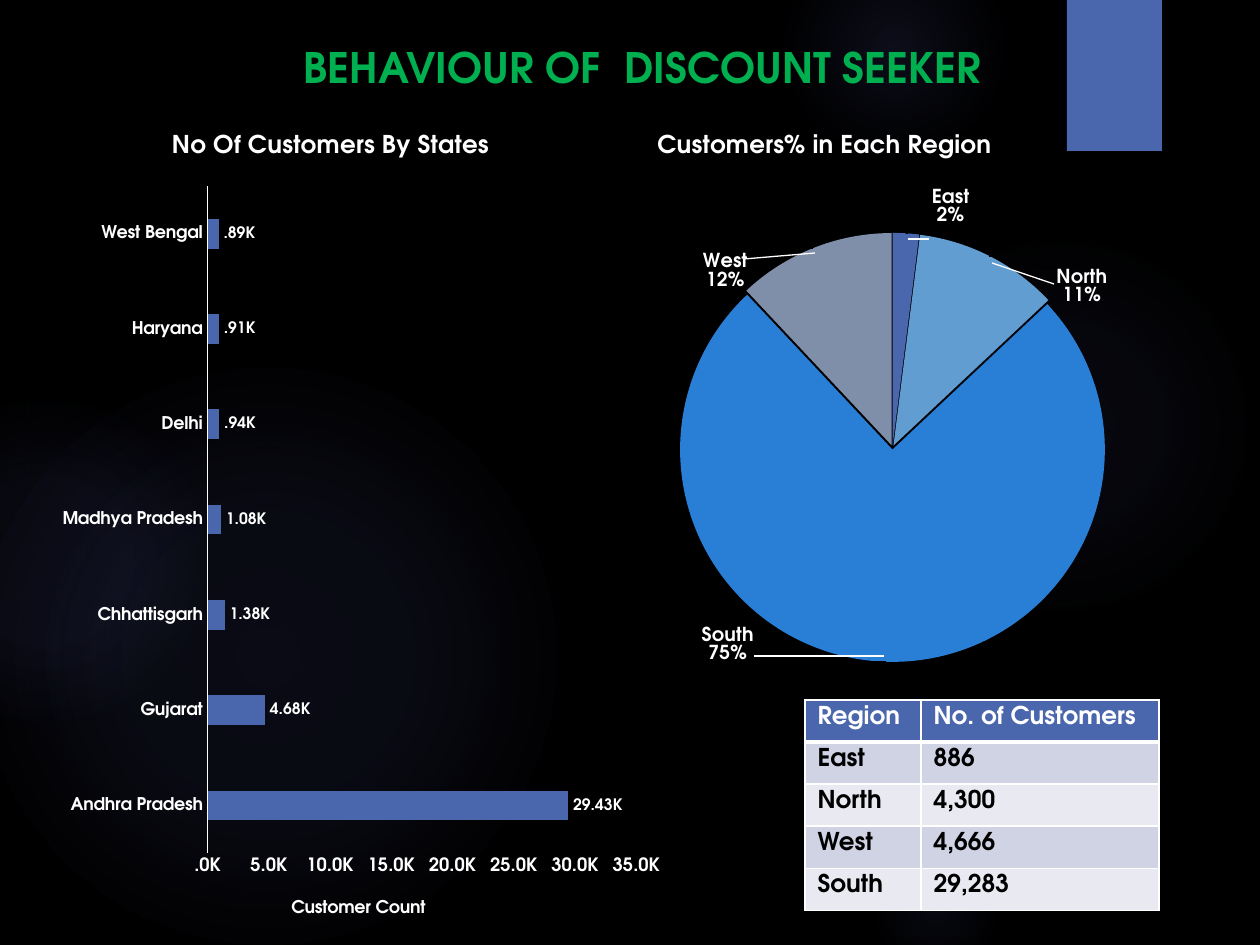
"""Build the discount seeker slide: two charts and a table on a dark background."""
from typing import NamedTuple

from lxml import etree
from pptx import Presentation
from pptx.chart.data import CategoryChartData
from pptx.dml.color import RGBColor
from pptx.enum.chart import XL_CHART_TYPE, XL_LABEL_POSITION, XL_TICK_MARK
from pptx.enum.shapes import MSO_CONNECTOR, MSO_SHAPE
from pptx.oxml import parse_xml
from pptx.oxml.ns import nsdecls, qn
from pptx.util import Emu, Pt

PIE, BAR = XL_CHART_TYPE.PIE, XL_CHART_TYPE.BAR_CLUSTERED
BEST_FIT, OUTSIDE_END = XL_LABEL_POSITION.BEST_FIT, XL_LABEL_POSITION.OUTSIDE_END
NO_TICK = XL_TICK_MARK.NONE
OVAL, RECTANGLE, STRAIGHT = MSO_SHAPE.OVAL, MSO_SHAPE.RECTANGLE, MSO_CONNECTOR.STRAIGHT

FONT = "TeX Gyre Adventor"
COLORS = {
    "black": "000000", "white": "FFFFFF", "glow": "5C64B7", "accent": "4A66AC",
    "title": "00B050", "band_dark": "D0D3E3", "band_light": "E9EAF1",
    "East": "4A66AC", "North": "629DD1", "South": "297FD5", "West": "7F8FA9",
}

class Glow(NamedTuple):
    """A soft circle in px, with stops as (percent, alpha percent)."""
    left: int
    top: int
    size: int
    stops: tuple

class Slice(NamedTuple):
    """A pie slice, the shift of its label and its leader line in px."""
    region: str
    percent: int
    shift: tuple
    leader: tuple

GLOWS = [
    Glow(868, 231, 388, ((0, 7), (36, 6), (69, 0))),
    Glow(784, -63, 220, ((0, 14), (36, 7), (73, 0))),
    Glow(868, 840, 136, ((0, 9), (36, 5), (66, 0))),
    Glow(-21, 368, 577, ((0, 11), (36, 10), (75, 0))),
    Glow(-116, 399, 325, ((0, 8), (36, 8), (72, 0))),
]
SLICES = [
    Slice("East", 2, (0.07, 0), (929, 239, 908, 239)),
    Slice("North", 11, (0.1, 0.08), (1054, 284, 992, 263)),
    Slice("South", 75, (-0.25, -0.06), (754, 656, 884, 656)),
    Slice("West", 12, (-0.1, 0.07), (744, 259, 815, 253)),
]
STATES = {
    "Andhra Pradesh": 29430, "Gujarat": 4680, "Chhattisgarh": 1380,
    "Madhya Pradesh": 1080, "Delhi": 940, "Haryana": 910, "West Bengal": 890,
}
TABLE_ROWS = [("Region", "No. of Customers"), ("East", "886"), ("North", "4,300"),
              ("West", "4,666"), ("South", "29,283")]

def px(*lengths: int) -> list:
    """Turn px into EMU."""
    return [Emu(round(length * 914400 / 126)) for length in lengths]

def rgb(name: str) -> RGBColor:
    """Look a colour up by name."""
    return RGBColor.from_string(COLORS[name])

def paint(fill, color: str) -> None:
    """Make a fill solid in a named colour."""
    fill.solid()
    fill.fore_color.rgb = rgb(color)

def style_font(font, size: float, color: str = "white", bold: bool = True) -> None:
    """Set face, size, colour and weight."""
    font.name, font.size, font.bold = FONT, Pt(size), bold
    font.color.rgb = rgb(color)

def add_shape(slide, kind, *box: int):
    """Add an accent-filled shape without line or shadow."""
    shape = slide.shapes.add_shape(kind, *px(*box))
    shape.shadow.inherit = False
    paint(shape.fill, "accent")
    shape.line.fill.background()
    return shape

def add_glow(slide, glow: Glow) -> None:
    """Add a circle that fades out from its centre."""
    shape = add_shape(slide, OVAL, glow.left, glow.top, glow.size, glow.size)
    stops = "".join(
        f'<a:gs pos="{position * 1000}"><a:srgbClr val="{COLORS["glow"]}">'
        f'<a:alpha val="{alpha * 1000}"/></a:srgbClr></a:gs>' for position, alpha in glow.stops)
    solid = shape.element.spPr.find(qn("a:solidFill"))
    solid.getparent().replace(solid, parse_xml(
        f'<a:gradFill {nsdecls("a")}><a:gsLst>{stops}</a:gsLst><a:path path="circle">'
        '<a:fillToRect l="50000" t="50000" r="50000" b="50000"/></a:path></a:gradFill>'))

def add_leader(slide, ends: tuple) -> None:
    """Add a thin white line from a label to its slice."""
    line = slide.shapes.add_connector(STRAIGHT, *px(*ends))
    line.line.color.rgb, line.line.width = rgb("white"), Pt(0.75)
    etree.SubElement(line.element.spPr, qn("a:effectLst"))

def set_layout(parent, index: int, modes: tuple = (), **values: float) -> None:
    """Give a chart part a manual layout in fractions of the chart."""
    for old in parent.findall(qn("c:layout")):
        parent.remove(old)
    layout = etree.Element(qn("c:layout"))
    manual = etree.SubElement(layout, qn("c:manualLayout"))
    for name, value in (*modes, *values.items()):
        etree.SubElement(manual, qn(f"c:{name}"), val=str(value))
    parent.insert(index, layout)

def set_title(title, text: str, size: float, x: float, y: float) -> None:
    """Write and place a chart or axis title."""
    title.text_frame.text = text
    style_font(title.text_frame.paragraphs[0].runs[0].font, size)
    set_layout(title._element, 1, (("xMode", "edge"), ("yMode", "edge")), x=x, y=y)

def add_chart(slide, kind, box: tuple, values: dict, **plot_area: float):
    """Add a transparent chart with one series and a fixed plot area."""
    data = CategoryChartData()
    data.categories = list(values)
    data.add_series("Series 1", list(values.values()))
    chart = slide.shapes.add_chart(kind, *px(*box), data).chart
    chart.has_legend = False
    style_font(chart.font, 10, bold=False)
    area = chart._chartSpace.xpath("c:chart/c:plotArea")[0]
    modes = (("layoutTarget", "inner"), ("xMode", "edge"), ("yMode", "edge"))
    set_layout(area, 0, modes, **plot_area)
    clear = f'<c:spPr {nsdecls("c", "a")}><a:noFill/><a:ln><a:noFill/></a:ln></c:spPr>'
    area.append(parse_xml(clear))
    chart._chartSpace.find(qn("c:txPr")).addprevious(parse_xml(clear))
    return chart

def add_region_chart(slide) -> None:
    """Add the pie of regions with shifted labels and leader lines."""
    chart = add_chart(slide, PIE, (514, 107, 631, 702),
                      {part.region: part.percent for part in SLICES}, x=0.26, y=0.13, w=0.68, h=0.71)
    set_title(chart.chart_title, "Customers% in Each Region", 14, 0.22, 0.03)
    series = chart.plots[0].series[0]
    for index, part in enumerate(SLICES):
        point = series.points[index]
        paint(point.format.fill, part.region)
        style_font(point.data_label.font, 11)
        point.data_label.position = BEST_FIT
        label = series._element.xpath("c:dLbls/c:dLbl")[index]
        set_layout(label, 1, x=part.shift[0], y=part.shift[1])
        for name, shown in (("showVal", "0"), ("showCatName", "1"), ("showPercent", "1")):
            label.find(qn(f"c:{name}")).set("val", shown)
        etree.SubElement(label, qn("c:separator")).text = "\n"
        add_leader(slide, part.leader)
    series._element.find(qn("c:dPt")).addprevious(etree.Element(qn("c:explosion"), val="1"))

def add_state_chart(slide) -> None:
    """Add the bars of customers by state."""
    chart = add_chart(slide, BAR, (0, 111, 670, 834), STATES, x=0.31, y=0.09, w=0.64, h=0.8)
    set_title(chart.chart_title, "No Of Customers By States", 14, 0.25, 0.02)
    plot = chart.plots[0]
    plot.gap_width, plot.vary_by_categories = 219, False
    paint(plot.series[0].format.fill, "accent")
    labels = plot.series[0].data_labels
    labels.show_value, labels.position = True, OUTSIDE_END
    labels.number_format, labels.number_format_is_linked = '#.00,"K";\\-#.00,"K"', False
    style_font(labels.font, 9)
    categories, counts = chart.category_axis, chart.value_axis
    for axis, size in ((categories, 10), (counts, 10.5)):
        axis.major_tick_mark = axis.minor_tick_mark = NO_TICK
        axis.has_major_gridlines = False
        style_font(axis.tick_labels.font, size)
    categories.format.line.color.rgb, categories.format.line.width = rgb("white"), Pt(0.75)
    counts.format.line.fill.background()
    counts.minimum_scale, counts.maximum_scale, counts.major_unit = 0, 35000, 5000
    ticks = counts.tick_labels
    ticks.number_format, ticks.number_format_is_linked = '#.0,"K";\\-#.0,"K"', False
    set_title(counts.axis_title, "Customer Count", 10, 0.43, 0.94)

def add_borders(cell, bottom: int) -> None:
    """Draw white cell borders, the bottom one in its own width in points."""
    for index, (side, width) in enumerate(zip("LRTB", (1, 1, 1, bottom))):
        cell._tc.get_or_add_tcPr().insert(index, parse_xml(
            f'<a:ln{side} {nsdecls("a")} w="{Pt(width)}"><a:solidFill>'
            f'<a:srgbClr val="{COLORS["white"]}"/></a:solidFill></a:ln{side}>'))

def add_region_table(slide) -> None:
    """Add the table of customers per region."""
    table = slide.shapes.add_table(len(TABLE_ROWS), 2, *px(805, 700, 354, 210)).table
    table.columns[0].width, table.columns[1].width = px(116, 238)
    for row, texts in enumerate(TABLE_ROWS):
        band = ("band_light", "band_dark")[row % 2] if row else "accent"
        for column, text in enumerate(texts):
            cell = table.cell(row, column)
            cell.text = text
            style_font(cell.text_frame.paragraphs[0].runs[0].font, 14, "black" if row else "white")
            paint(cell.fill, band)
            add_borders(cell, 1 if row else 3)

def main() -> None:
    """Build and save the presentation."""
    presentation = Presentation()
    presentation.slide_width, presentation.slide_height = px(1260, 945)
    slide = presentation.slides.add_slide(presentation.slide_layouts[6])
    paint(slide.background.fill, "black")
    for glow in GLOWS:
        add_glow(slide, glow)
    add_shape(slide, RECTANGLE, 1067, 0, 95, 151)
    heading = slide.shapes.add_textbox(*px(291, 35, 760, 62)).text_frame
    heading.word_wrap, heading.text = True, "BEHAVIOUR OF  DISCOUNT SEEKER"
    style_font(heading.paragraphs[0].runs[0].font, 24, "title")
    add_region_chart(slide)
    add_region_table(slide)
    add_state_chart(slide)
    presentation.save("out.pptx")

if __name__ == "__main__":
    main()
